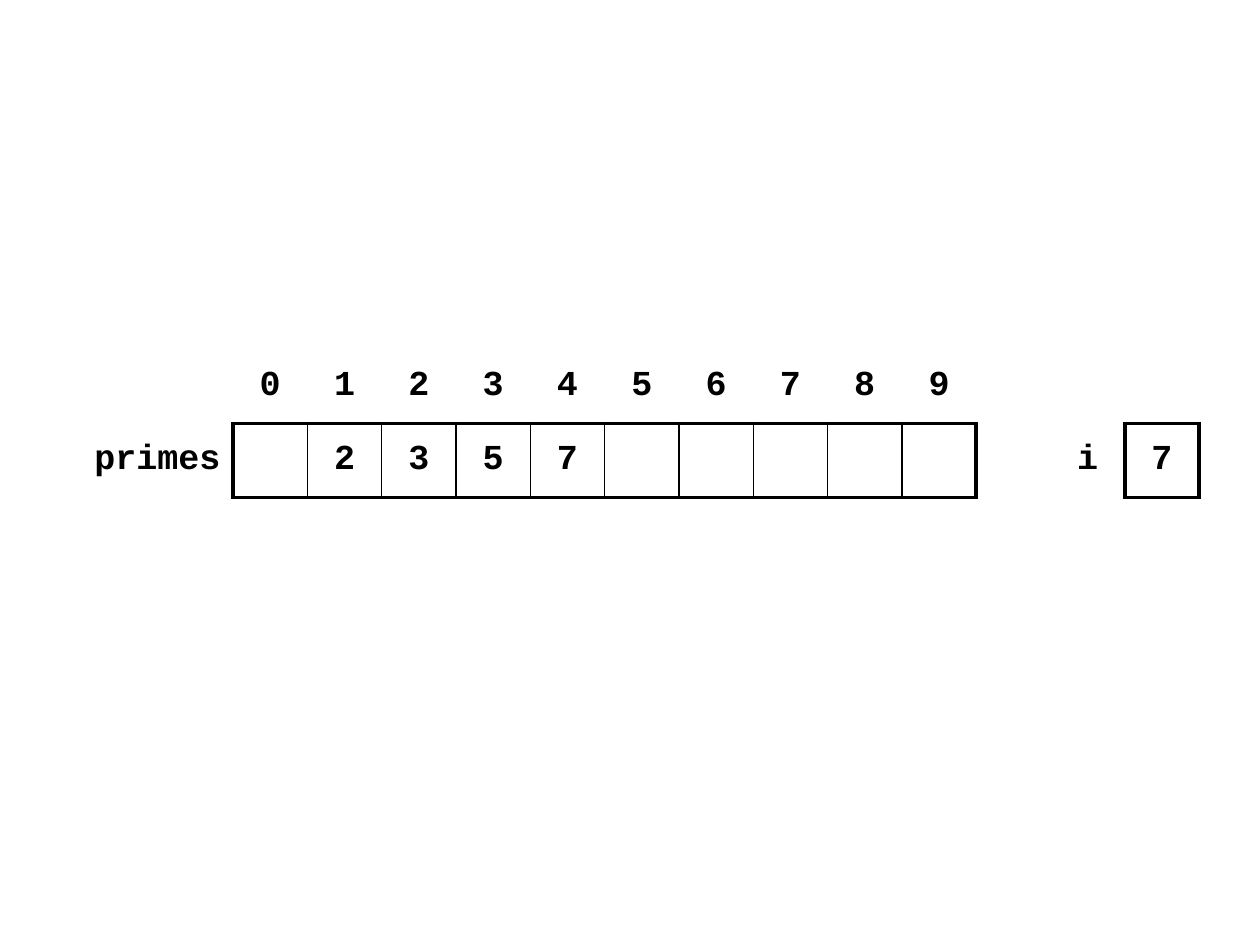
from lxml.etree import SubElement
from pptx import Presentation
from pptx.dml.color import RGBColor
from pptx.enum.text import MSO_ANCHOR, PP_ALIGN
from pptx.oxml.ns import qn
from pptx.util import Inches, Pt

COLORS = {"ink": "000000"}
FONT = {"name": "Courier New", "size": Pt(20), "bold": True}
LABEL_W, CELL = 1.38, 0.59
INDICES = [str(i) for i in range(10)]
PRIMES = ["", "2", "3", "5", "7"] + [""] * 5
ROWS = [[""] + INDICES + [""] * 3, ["primes"] + PRIMES + ["", "i", "7"]]
BOXED = {(1, c) for c in (*range(1, 11), 13)}
SIDES = {"lnL": (0, -1), "lnR": (0, 1), "lnT": (-1, 0), "lnB": (1, 0)}


class ArrayDiagram:
    """Holds the style and the current slide, and draws the array on it."""

    def __init__(self, prs):
        self.s = prs.slides.add_slide(prs.slide_layouts[6])

    def border(self, cell, side, width):
        tcPr = cell._tc.get_or_add_tcPr()
        ln = SubElement(tcPr, qn(f"a:{side}"), w=str(Pt(width)))
        if width:
            fill = SubElement(ln, qn("a:solidFill"))
            SubElement(fill, qn("a:srgbClr"), val=COLORS["ink"])
        else:
            SubElement(ln, qn("a:noFill"))

    def cell(self, cell, text, align, widths):
        for side, width in widths.items():
            self.border(cell, side, width)
        cell.fill.background()
        cell.vertical_anchor = MSO_ANCHOR.MIDDLE
        p = cell.text_frame.paragraphs[0]
        p.alignment = align
        if text:
            r = p.add_run()
            r.text = text
            for name, value in FONT.items():
                setattr(r.font, name, value)
            r.font.color.rgb = RGBColor.from_string(COLORS["ink"])

    def table(self, x, y, rows):
        n = len(rows[0])
        width = LABEL_W + CELL * (n - 1)
        t = self.s.shapes.add_table(len(rows), n, Inches(x), Inches(y),
                                    Inches(width), Inches(CELL * len(rows))).table
        t.first_row = t.horz_banding = False
        for c, col in enumerate(t.columns):
            col.width = Inches(CELL if c else LABEL_W)
        for r, row in enumerate(rows):
            for c, text in enumerate(row):
                widths = {}
                for side, (dr, dc) in SIDES.items():
                    boxes = ((r, c) in BOXED) + ((r + dr, c + dc) in BOXED)
                    widths[side] = (0, 2.25, 1)[boxes]
                align = PP_ALIGN.CENTER if c else PP_ALIGN.RIGHT
                self.cell(t.cell(r, c), text, align, widths)


def main():
    prs = Presentation()
    prs.slide_width, prs.slide_height = Inches(10), Inches(7.5)
    ArrayDiagram(prs).table(0.47, 2.77, ROWS)
    prs.save("out.pptx")


if __name__ == "__main__":
    main()
